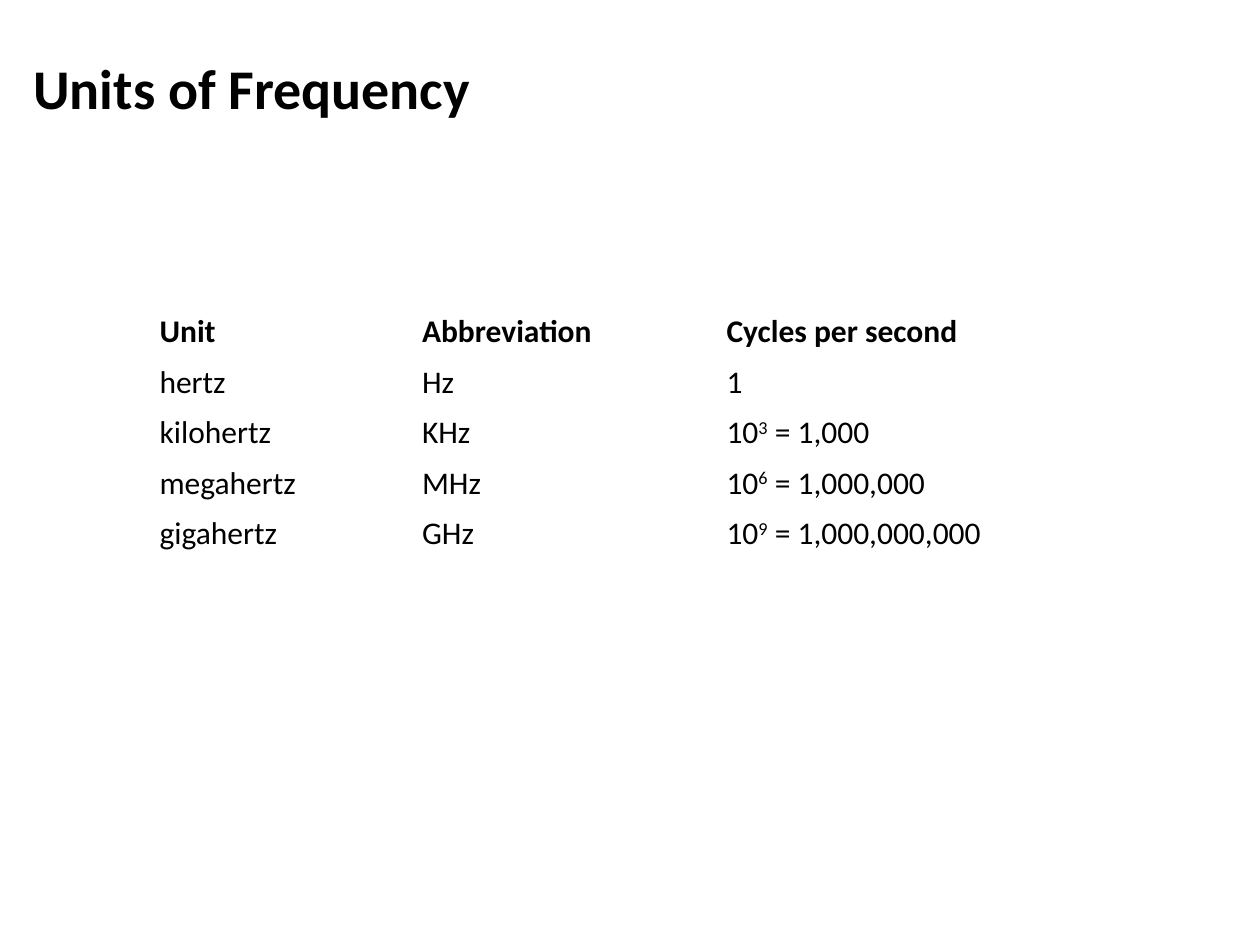
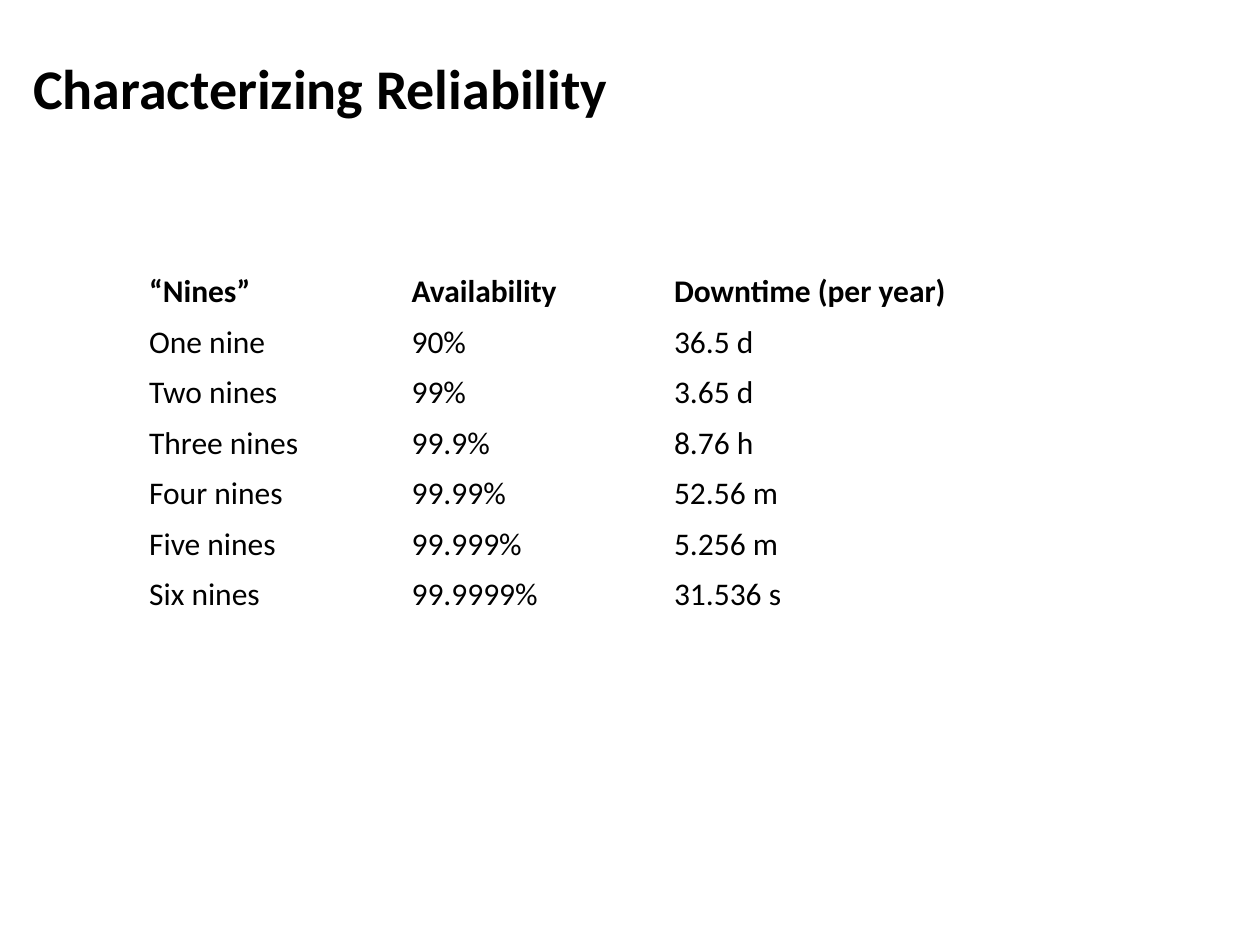
from dataclasses import dataclass
from typing import NamedTuple

from lxml import etree
from pptx import Presentation
from pptx.dml.color import RGBColor
from pptx.enum.text import MSO_ANCHOR
from pptx.oxml.ns import qn
from pptx.util import Emu, Inches, Pt

MIDDLE = MSO_ANCHOR.MIDDLE
TOP = MSO_ANCHOR.TOP
BLANK = 6
WIDE, HIGH = Inches(10), Inches(7.5)
COLS, ROWS = 120, 90


@dataclass(frozen=True)
class Theme:
    font: str = "Calibri"
    ink: str = "000000"
    paper: str = "FFFFFF"
    title: float = 32
    body: float = 18
    outer: float = 2.25
    inner: float = 1


class Box(NamedTuple):
    """Place on the grid, in columns and rows."""
    left: float
    top: float
    width: float
    height: float


class Piece(NamedTuple):
    text: str
    raised: bool = False


Cell = tuple[Piece, ...]


@dataclass(frozen=True)
class Page:
    title: str
    left: float
    top: float
    widths: tuple[float, ...]
    rows: list[tuple[Cell, ...]]


THEME = Theme()
HEAD = Box(2, 1.5, 114, 13.5)
ROW = 4.8


def across(cols: float) -> Emu:
    return Emu(round(WIDE * cols / COLS))


def down(rows: float) -> Emu:
    return Emu(round(HIGH * rows / ROWS))


def place(box: Box) -> tuple[Emu, Emu, Emu, Emu]:
    return across(box.left), down(box.top), across(box.width), down(box.height)


def plain(*texts: str) -> tuple[Cell, ...]:
    return tuple((Piece(text),) for text in texts)


def power(exp: int) -> Cell:
    """Ten to a power, followed by its value written out."""
    return Piece("10"), Piece(str(exp), True), Piece(f" = {10 ** exp:,}")


def write(para, cell: Cell, size: float, bold: bool) -> None:
    for piece in cell:
        run = para.add_run()
        run.text = piece.text
        font = run.font
        font.name, font.size, font.bold = THEME.font, Pt(size), bold
        font.color.rgb = RGBColor.from_string(THEME.ink)
        if piece.raised:
            run._r.get_or_add_rPr().set("baseline", "30000")


def edge(cell, side: str, width: float) -> None:
    props = cell._tc.get_or_add_tcPr()
    line = etree.SubElement(props, qn(f"a:ln{side}"), w=str(Pt(width)))
    fill = etree.SubElement(line, qn("a:solidFill"))
    etree.SubElement(fill, qn("a:srgbClr"), val=THEME.paper)


def add_title(slide, text: str) -> None:
    frame = slide.shapes.add_textbox(*place(HEAD)).text_frame
    frame.word_wrap = True
    frame.vertical_anchor = MIDDLE
    write(frame.paragraphs[0], (Piece(text),), THEME.title, True)


def add_grid(slide, page: Page) -> None:
    count, span = len(page.rows), len(page.widths)
    box = Box(page.left, page.top, sum(page.widths), ROW * count)
    table = slide.shapes.add_table(count, span, *place(box)).table
    table.horz_banding = False
    for col, width in zip(table.columns, page.widths):
        col.width = across(width)
    for r, row in enumerate(page.rows):
        table.rows[r].height = down(ROW)
        for c, text in enumerate(row):
            cell = table.cell(r, c)
            cell.vertical_anchor = TOP
            write(cell.text_frame.paragraphs[0], text, THEME.body, r == 0)
            rims = {"L": c == 0, "R": c == span - 1,
                    "T": r == 0, "B": r == count - 1}
            for side, rim in rims.items():
                edge(cell, side, THEME.outer if rim else THEME.inner)
            cell.fill.background()


PAGES = [
    Page("Units of Frequency", 14, 29.2, (25, 29, 41), [
        plain("Unit", "Abbreviation", "Cycles per second"),
        plain("hertz", "Hz", "1"),
        (*plain("kilohertz", "KHz"), power(3)),
        (*plain("megahertz", "MHz"), power(6)),
        (*plain("gigahertz", "GHz"), power(9)),
    ]),
    Page("Characterizing Reliability", 13, 25.4, (25, 25, 45), [
        plain("“Nines”", "Availability", "Downtime (per year)"),
        plain("One nine", "90%", "36.5 d"),
        plain("Two nines", "99%", "3.65 d"),
        plain("Three nines", "99.9%", "8.76 h"),
        plain("Four nines", "99.99%", "52.56 m"),
        plain("Five nines", "99.999%", "5.256 m"),
        plain("Six nines", "99.9999%", "31.536 s"),
    ]),
]


def main() -> None:
    deck = Presentation()
    deck.slide_width, deck.slide_height = WIDE, HIGH
    for page in PAGES:
        slide = deck.slides.add_slide(deck.slide_layouts[BLANK])
        fill = slide.background.fill
        fill.solid()
        fill.fore_color.rgb = RGBColor.from_string(THEME.paper)
        add_title(slide, page.title)
        add_grid(slide, page)
    deck.save("out.pptx")


if __name__ == "__main__":
    main()
